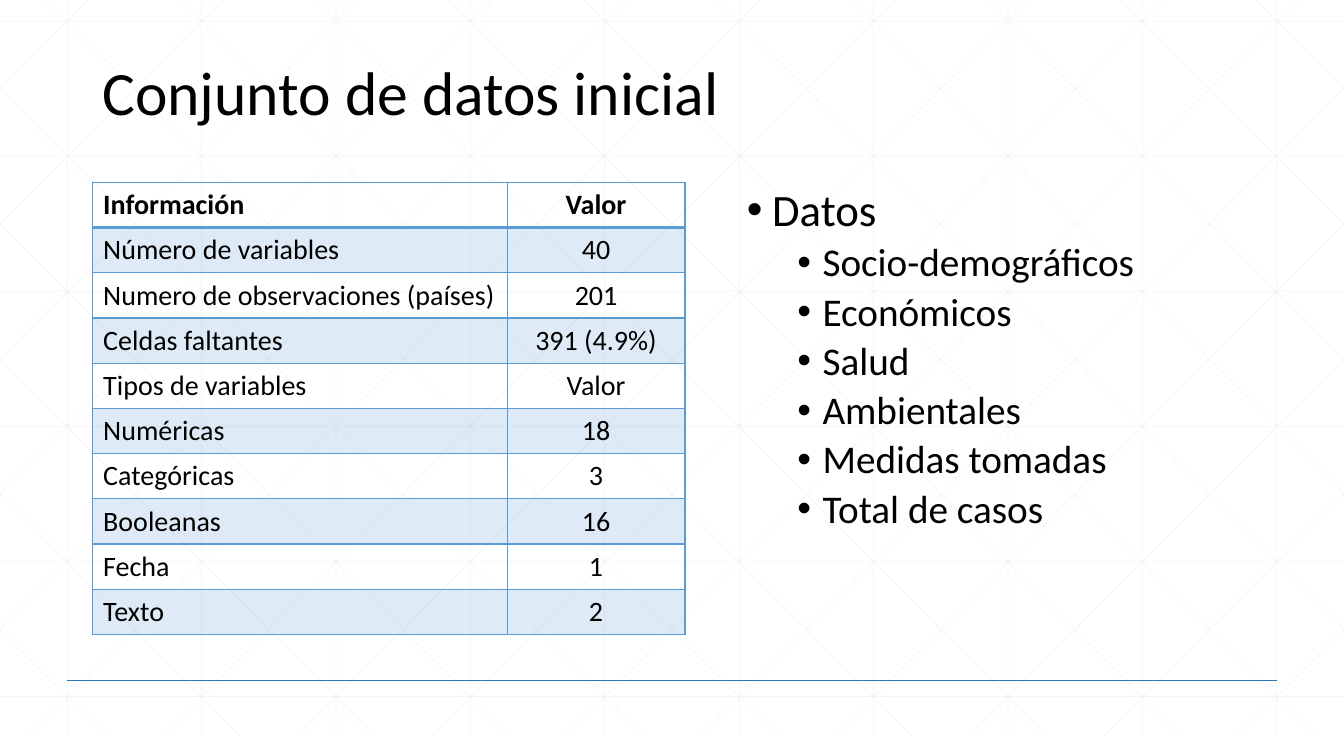
import pptx
import pptx.dml.color
import pptx.enum.shapes
import pptx.enum.text
import pptx.oxml
import pptx.oxml.ns
import pptx.util
from lxml import etree

Pt = pptx.util.Pt
RGBColor = pptx.dml.color.RGBColor
Align = pptx.enum.text.PP_ALIGN
Anchor = pptx.enum.text.MSO_ANCHOR
qn = pptx.oxml.ns.qn

BLACK = RGBColor(0x00, 0x00, 0x00)
WHITE = RGBColor(0xFF, 0xFF, 0xFF)
GRID_GREY = RGBColor(0xD9, 0xD9, 0xD9)
RULE_BLUE = RGBColor(0x2E, 0x75, 0xB6)
TABLE_BLUE = RGBColor(0x5B, 0x9B, 0xD5)
FONT = "Calibri"

PAGE_WIDTH, PAGE_HEIGHT = 960, 540
ROWS = [
    ("Información", "Valor"),
    ("Número de variables", "40"),
    ("Numero de observaciones (países)", "201"),
    ("Celdas faltantes", "391 (4.9%)"),
    ("Tipos de variables", "Valor"),
    ("Numéricas", "18"),
    ("Categóricas", "3"),
    ("Booleanas", "16"),
    ("Fecha", "1"),
    ("Texto", "2"),
]
TOPICS = ["Socio-demográficos", "Económicos", "Salud", "Ambientales",
          "Medidas tomadas", "Total de casos"]


def set_alpha(parent, percent):
    """Make the solid colour found below parent partly transparent."""
    colour = parent.find(".//" + qn("a:srgbClr"))
    etree.SubElement(colour, qn("a:alpha")).set("val", str(percent * 1000))


def style_font(para, size, bold=False):
    para.font.name = FONT
    para.font.size = Pt(size)
    para.font.bold = bold
    para.font.color.rgb = BLACK


def add_line(page, start, end, colour, width):
    line = page.shapes.add_connector(
        pptx.enum.shapes.MSO_CONNECTOR.STRAIGHT,
        Pt(start[0]), Pt(start[1]), Pt(end[0]), Pt(end[1]))
    line.line.color.rgb = colour
    line.line.width = Pt(width)
    etree.SubElement(line._element.spPr, qn("a:effectLst"))
    return line


def add_grid(page, left, top, width, height):
    """Faint background grid with diagonals cut off at the box sides."""
    step, run = 96, 537
    right, bottom = left + width, top + height
    ends = []
    for index in range(10):
        x = left + 48 + index * step
        ends.append(((x, top), (x, bottom)))
    for index in range(6):
        y = top + 30 + index * 96.5
        ends.append(((left, y), (right, y)))
    for index in range(-5, 10):
        offset = 18 + index * step
        first = max(0, -offset / run)
        last = min(1, (width - offset) / run)
        points = [(offset + part * run, top + part * height)
                  for part in (first, last)]
        ends.append([(left + x, y) for x, y in points])
        ends.append([(right - x, y) for x, y in points])
    for start, end in ends:
        line = add_line(page, start, end, GRID_GREY, 0.5)
        set_alpha(line._element.spPr, 25)


def add_text_frame(page, left, top, width, height, anchor):
    box = page.shapes.add_textbox(Pt(left), Pt(top), Pt(width), Pt(height))
    box.text_frame.word_wrap = True
    box.text_frame.vertical_anchor = anchor
    return box.text_frame


def add_title(page, left, top, width, height):
    frame = add_text_frame(page, left, top, width, height, Anchor.MIDDLE)
    para = frame.paragraphs[0]
    para.text = "Conjunto de datos inicial"
    para.line_spacing = 0.9
    style_font(para, 44)


def add_topics(page, left, top, width, height):
    frame = add_text_frame(page, left, top, width, height, Anchor.TOP)
    for index, text in enumerate(["Datos"] + TOPICS):
        para = frame.add_paragraph() if index else frame.paragraphs[0]
        para.text = text
        para.level = 1 if index else 0
        properties = para._p.get_or_add_pPr()
        properties.set("marL", str(Pt(54 if index else 18)))
        properties.set("indent", str(Pt(-18)))
        etree.SubElement(properties, qn("a:buFont")).set("typeface", "Arial")
        etree.SubElement(properties, qn("a:buChar")).set("char", "•")
        para.line_spacing = 0.9
        if index:
            para.space_before = Pt(5)
        style_font(para, 28 if index else 32)


def set_borders(cell, top, bottom):
    properties = cell._tc.get_or_add_tcPr()
    widths = {"lnL": 1, "lnR": 1, "lnT": top, "lnB": bottom}
    for position, (side, width) in enumerate(widths.items()):
        properties.insert(position, pptx.oxml.parse_xml(
            f'<a:{side} {pptx.oxml.ns.nsdecls("a")} w="{Pt(width)}">'
            f'<a:solidFill><a:srgbClr val="{TABLE_BLUE}"/></a:solidFill>'
            f'<a:prstDash val="solid"/></a:{side}>'))


def add_data_table(page, left, top, width, height):
    table = page.shapes.add_table(
        len(ROWS), 2, Pt(left), Pt(top), Pt(width), Pt(height)).table
    table.first_row = table.horz_banding = False
    label_width = 0.7 * width
    table.columns[0].width = Pt(label_width)
    table.columns[1].width = Pt(width - label_width)
    for row, texts in enumerate(ROWS):
        table.rows[row].height = Pt(height / len(ROWS))
        for column, text in enumerate(texts):
            cell = table.cell(row, column)
            cell.vertical_anchor = Anchor.MIDDLE
            cell.margin_left = cell.margin_right = Pt(7.75)
            if row % 2:
                cell.fill.solid()
                cell.fill.fore_color.rgb = TABLE_BLUE
                set_alpha(cell._tc.tcPr, 20)
            else:
                cell.fill.background()
            set_borders(cell, 2 if row == 1 else 1, 2 if row == 0 else 1)
            para = cell.text_frame.paragraphs[0]
            para.text = text
            para.alignment = Align.CENTER if column else Align.LEFT
            style_font(para, 20, bold=row == 0)


def main():
    deck = pptx.Presentation()
    deck.slide_width, deck.slide_height = Pt(PAGE_WIDTH), Pt(PAGE_HEIGHT)
    page = deck.slides.add_slide(deck.slide_layouts[6])
    page.background.fill.solid()
    page.background.fill.fore_color.rgb = WHITE
    add_grid(page, 0, -15, PAGE_WIDTH, PAGE_HEIGHT)
    add_line(page, (48, 486), (912, 486), RULE_BLUE, 1)
    add_title(page, 66, 15.75, 828, 104.4)
    add_topics(page, 526.5, 130.3, 324, 325.5)
    add_data_table(page, 66, 130.3, 423.3, 323)
    deck.save("out.pptx")


if __name__ == "__main__":
    main()
